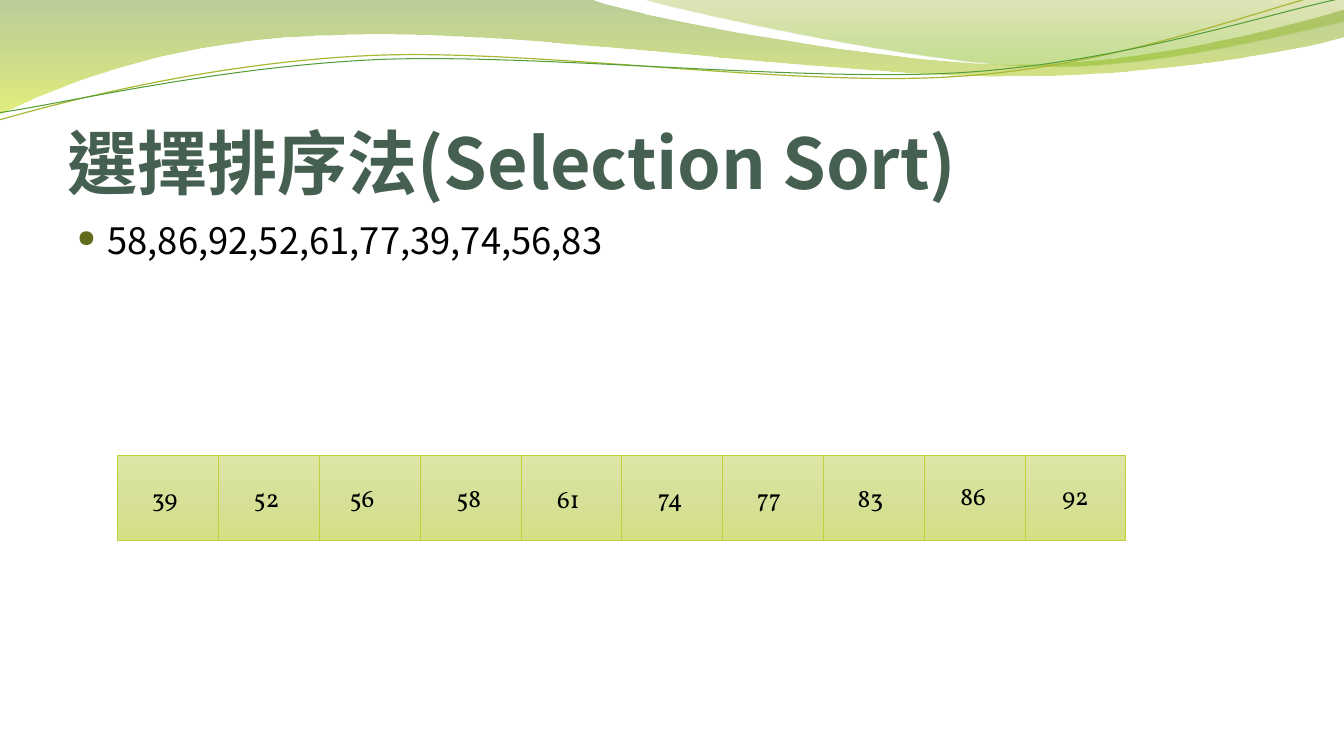
from lxml.etree import SubElement
from pptx import Presentation
from pptx.dml.color import RGBColor
from pptx.enum.shapes import MSO_SHAPE
from pptx.enum.text import MSO_ANCHOR
from pptx.oxml.ns import qn
from pptx.util import Pt

BLACK = RGBColor(0x00, 0x00, 0x00)
TITLE_GREEN = RGBColor(0x45, 0x5F, 0x51)
BULLET_OLIVE = RGBColor(0x62, 0x6B, 0x1A)
CELL_BORDER = RGBColor(0xC0, 0xCF, 0x3A)
CELL_TOP = RGBColor(0xDD, 0xE6, 0xA6)
CELL_MIDDLE = RGBColor(0xD7, 0xE0, 0x98)
CELL_BOTTOM = RGBColor(0xD4, 0xE0, 0x84)
WAVE_MOSS = RGBColor(0x69, 0x92, 0x1C)
WAVE_LIME = RGBColor(0xCC, 0xE1, 0x0F)
WAVE_OLIVE = RGBColor(0x9B, 0xAA, 0x1A)
WAVE_GRASS = RGBColor(0x81, 0xBA, 0x16)
LINE_OLIVE = RGBColor(0xA9, 0xB7, 0x33)
LINE_GREEN = RGBColor(0x54, 0x9E, 0x39)

LINE_ROTATION = 357.3
CELL_STOPS = [(0, CELL_TOP, 100), (50, CELL_MIDDLE, 100), (100, CELL_BOTTOM, 100)]

WAVES = [
    ((-1.4, 0), [
        [(422.6, 0)],
        [(456.5, 12.9), (636.5, 46.1), (727.9, 46.1)],
        [(818.6, 46.1), (919.4, 19.4), (959.8, 7.2)],
        [(960.5, 26.6)],
        [(943.9, 32.4), (834.5, 55.4), (715.7, 54.7)],
        [(594, 54.7), (366.5, 20.9), (247, 25.2)],
        [(123.8, 26.6), (43.9, 60.5), (-1.4, 82.1)],
    ], [(0, WAVE_MOSS, 45), (100, WAVE_LIME, 55)]),
    ((459.4, 0), [
        [(488.9, 8.6), (654.5, 45.3), (738, 47.5)],
        [(820.8, 50.4), (923, 23.7), (959.8, 15.8)],
        [(959.8, 0)],
    ], [(0, WAVE_OLIVE, 30), (80, WAVE_GRASS, 45)]),
]
LINES = [
    ((-2.3, 63.1), [
        [(44.4, 52.2), (151.4, 29.2), (266, 29.6)],
        [(379.8, 29.9), (567, 66.8), (682.4, 64.3)],
        [(798.6, 62.6), (901.9, 25.7), (959.4, 15.4)],
    ], LINE_OLIVE, 0.85),
    ((-2, 57.9), [
        [(43.6, 53.6), (157.1, 32.3), (271.6, 32.7)],
        [(386.9, 33.8), (572.2, 63.4), (686.9, 61.6)],
        [(801.6, 59.8), (904.7, 30.1), (961.3, 21.2)],
    ], LINE_GREEN, 0.75),
]
SORTED_LABELS = [
    ("39", 17.3, 15.8), ("52", 18, 15.8), ("56", 14.4, 15.8), ("58", 18.7, 15.8),
    ("61", 18.7, 16.6), ("74", 18.7, 15.8), ("77", 17.3, 15.8), ("83", 17.3, 15.8),
    ("86", 18.7, 14.4), ("92", 19.4, 14.4),
]


def set_gradient(shape, stops):
    """Fill a shape from top to bottom with (position, colour, opacity) stops."""
    shape.fill.gradient()
    shape.fill.gradient_angle = 270
    stop_list = shape.element.spPr.find(qn("a:gradFill")).find(qn("a:gsLst"))
    for old_stop in list(stop_list):
        stop_list.remove(old_stop)
    for position, color, opacity in stops:
        stop = SubElement(stop_list, qn("a:gs"), pos=str(position * 1000))
        color_element = SubElement(stop, qn("a:srgbClr"), val=str(color))
        if opacity < 100:
            SubElement(color_element, qn("a:alpha"), val=str(opacity * 1000))


def add_curve(shapes, box, start, segments, closed):
    """Draw straight and cubic Bezier segments from a start point within a box."""
    left, top = box[:2]
    points = [start, *(point for segment in segments for point in segment)]
    vertices = [(Pt(left + x), Pt(top + y)) for x, y in points]
    builder = shapes.build_freeform(*vertices[0], scale=1.0)
    builder.add_line_segments(vertices[1:], close=closed)
    shape = builder.convert_to_shape()
    shape.shadow.inherit = False
    straight_lines = iter(list(shape.element.iter(qn("a:lnTo"))))
    for segment in segments:
        elements = [next(straight_lines) for _ in segment]
        if len(elements) == 3:
            elements[0].tag = qn("a:cubicBezTo")
            for element in elements[1:]:
                elements[0].append(element[0])
                element.getparent().remove(element)
    return shape


def add_text(slide, box, text, *, size, font, color=BLACK, bold=False,
             anchor=MSO_ANCHOR.TOP, insets=(7.2, 3.6, 7.2, 3.6)):
    """Add one formatted paragraph in a text box and return the paragraph."""
    frame = slide.shapes.add_textbox(*map(Pt, box)).text_frame
    frame.word_wrap = True
    frame.vertical_anchor = anchor
    (frame.margin_left, frame.margin_top,
     frame.margin_right, frame.margin_bottom) = map(Pt, insets)
    paragraph = frame.paragraphs[0]
    run = paragraph.add_run()
    run.text = text
    run.font.size = Pt(size)
    run.font.name = font
    run.font.bold = bold
    run.font.color.rgb = color
    run.font._element.set("lang", "zh-TW")
    SubElement(run.font._element, qn("a:ea"), typeface=font)
    return paragraph


def add_header_waves(slide, box):
    """Draw the tinted waves and thin lines along the top of the slide."""
    shapes = slide.shapes.add_group_shape().shapes
    for start, segments, stops in WAVES:
        wave = add_curve(shapes, box, start, segments, True)
        set_gradient(wave, stops)
        wave.line.fill.background()
    for start, segments, color, width in LINES:
        line = add_curve(shapes, box, start, segments, False)
        line.rotation = LINE_ROTATION
        line.fill.background()
        line.line.color.rgb = color
        line.line.width = Pt(width)


def add_heading(slide, box):
    """Place the title at the bottom of its box."""
    add_text(slide, box, "選擇排序法(Selection Sort)", size=50, font="Noto Sans CJK SC",
             color=TITLE_GREEN, bold=True, anchor=MSO_ANCHOR.BOTTOM, insets=(0, 3.6, 0, 0))


def add_unsorted_list(slide, box):
    """Place the bulleted list of unsorted numbers."""
    paragraph = add_text(slide, box, "58,86,92,52,61,77,39,74,56,83",
                         size=26, font="Noto Sans CJK TC")
    properties = paragraph._p.get_or_add_pPr()
    properties.set("marL", str(Pt(21.6)))
    properties.set("indent", str(Pt(-21.6)))
    bullet_color = SubElement(properties, qn("a:buClr"))
    SubElement(bullet_color, qn("a:srgbClr"), val=str(BULLET_OLIVE))
    SubElement(properties, qn("a:buSzPct"), val="65000")
    SubElement(properties, qn("a:buChar"), char="●")


def add_sorted_row(slide, box):
    """Draw equal cells across the box, then the sorted numbers over them."""
    left, top, width, height = box
    cell_width = width / len(SORTED_LABELS)
    cell_lefts = [left + index * cell_width for index in range(len(SORTED_LABELS))]
    cells = slide.shapes.add_group_shape().shapes
    for cell_left in cell_lefts:
        cell = cells.add_shape(
            MSO_SHAPE.RECTANGLE, *map(Pt, (cell_left, top, cell_width, height)))
        cell.shadow.inherit = False
        set_gradient(cell, CELL_STOPS)
        cell.line.color.rgb = CELL_BORDER
        cell.line.width = Pt(0.5)
    for cell_left, (number, offset_x, offset_y) in zip(cell_lefts, SORTED_LABELS):
        add_text(slide, (cell_left + offset_x, top + offset_y, 38.2, 28.8), number,
                 size=18, font="Vollkorn")


def main():
    """Build the selection sort slide and save it."""
    presentation = Presentation()
    presentation.slide_width = Pt(960)
    presentation.slide_height = Pt(540)
    slide = presentation.slides.add_slide(presentation.slide_layouts[6])
    add_header_waves(slide, (0, 0, 960, 90))
    add_heading(slide, (48, 55.4, 864, 90))
    add_unsorted_list(slide, (48, 152.6, 864, 345.6))
    add_sorted_row(slide, (84.2, 325.4, 720, 60.5))
    presentation.save("out.pptx")


if __name__ == "__main__":
    main()
